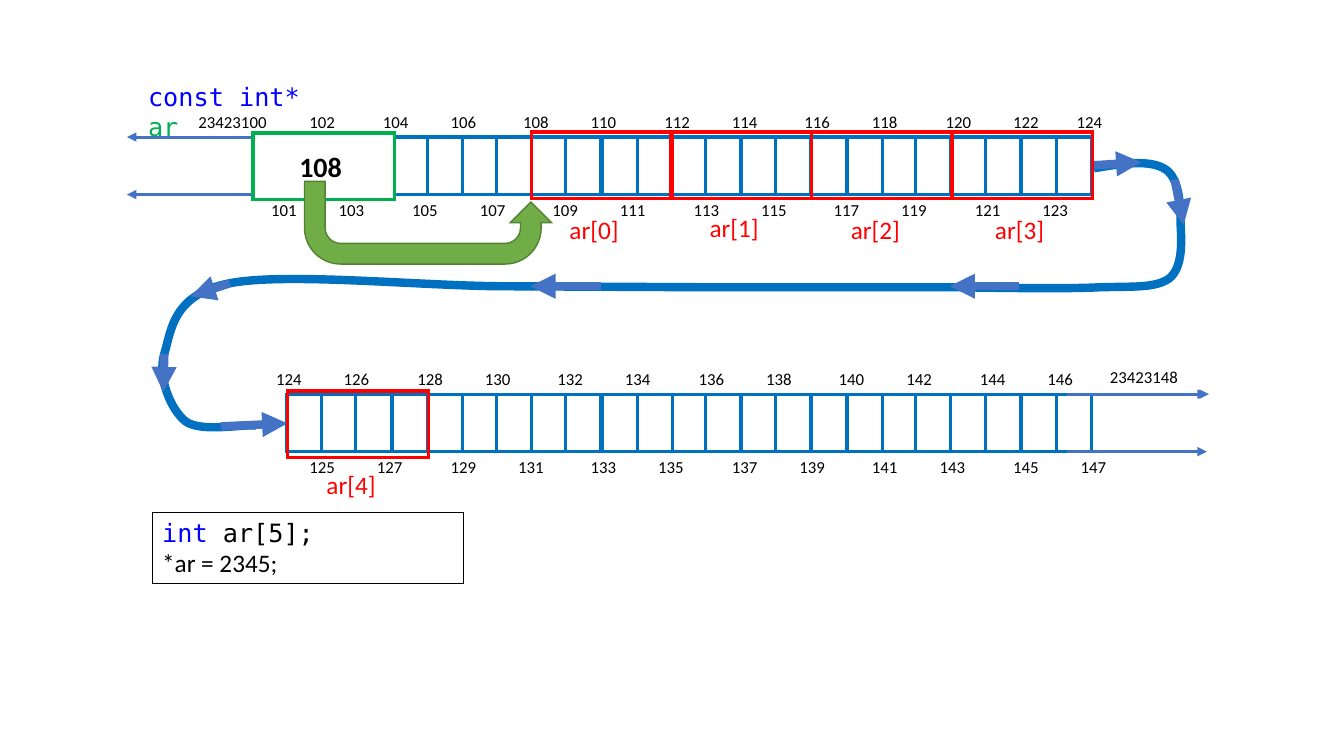
from dataclasses import dataclass
from typing import NamedTuple

from lxml.etree import SubElement
from pptx import Presentation
from pptx.dml.color import RGBColor
from pptx.enum.shapes import MSO_CONNECTOR as Connector, MSO_SHAPE as Shape
from pptx.enum.text import MSO_ANCHOR as Anchor, PP_ALIGN as Align
from pptx.oxml.ns import qn
from pptx.util import Pt

PX = 9144  # 100 px to the inch


@dataclass(frozen=True)
class Theme:
    black: str = "000000"
    white: str = "FFFFFF"
    cell: str = "0070C0"
    arrow: str = "4472C4"
    element: str = "FF0000"
    keyword: str = "0000FF"
    pointer: str = "00B050"
    turn_fill: str = "70AD47"
    turn_line: str = "538035"
    sans: str = "Calibri"
    mono: str = "DejaVu Sans Mono"
    address_size: int = 12
    code_size: int = 18
    value_size: int = 20
    hairline: float = 0.75
    turn_width: float = 1
    line_width: float = 2.25
    path_width: float = 6


THEME = Theme()


class Box(NamedTuple):
    left: int
    top: int
    width: int
    height: int

    def inner(self, dx, dy, width, height):
        return Box(self.left + dx, self.top + dy, width, height)

    def emu(self):
        return [length * PX for length in self]


class Span(NamedTuple):
    text: str
    color: str = THEME.black
    font: str = THEME.sans
    size: int = THEME.code_size
    bold: bool = False


def write(shape, *lines, wrap=True):
    frame = shape.text_frame
    frame.word_wrap = wrap
    frame.vertical_anchor = Anchor.TOP
    for index, spans in enumerate(lines):
        paragraph = frame.add_paragraph() if index else frame.paragraphs[0]
        paragraph.alignment = Align.LEFT
        for span in spans:
            run = paragraph.add_run()
            run.text = span.text
            run.font.name, run.font.size, run.font.bold = span.font, Pt(span.size), span.bold
            run.font.color.rgb = RGBColor.from_string(span.color)


def add_text(slide, box, *spans, wrap=True):
    write(slide.shapes.add_textbox(*box.emu()), spans, wrap=wrap)


def paint(shape, fill, line, width):
    shape.shadow.inherit = False
    if fill:
        shape.fill.solid()
        shape.fill.fore_color.rgb = RGBColor.from_string(fill)
    else:
        shape.fill.background()
    shape.line.color.rgb = RGBColor.from_string(line)
    shape.line.width = Pt(width)
    SubElement(shape.line._get_or_add_ln(), qn("a:miter"), lim="800000")


def add_box(slide, box, fill, line, width=THEME.line_width, kind=Shape.RECTANGLE):
    shape = slide.shapes.add_shape(kind, *box.emu())
    paint(shape, fill, line, width)
    return shape


def add_arrow(slide, start, end, width=THEME.line_width):
    ends = [length * PX for length in (*start, *end)]
    arrow = slide.shapes.add_connector(Connector.STRAIGHT, *ends)
    arrow.line.color.rgb = RGBColor.from_string(THEME.arrow)
    arrow.line.width = Pt(width)
    SubElement(arrow.line._get_or_add_ln(), qn("a:tailEnd"), type="triangle")
    SubElement(arrow._element.spPr, qn("a:effectLst"))


# Cells repeat every six, address labels every four
CELL_STEPS = (0, 35, 70, 103, 138, 172, 208)
LABEL_STEPS = (0, 67, 140, 207, 279)


def stepped(steps, index):
    turn, place = divmod(index, len(steps) - 1)
    return turn * steps[-1] + steps[place]


def add_cells(slide, box, indexes):
    for index in indexes:
        cell = box.inner(stepped(CELL_STEPS, index), 0, 35, box.height)
        add_box(slide, cell, THEME.white, THEME.cell)


def add_address(slide, box, text, wrap=True):
    add_text(slide, box, Span(text, size=THEME.address_size), wrap=wrap)


def add_addresses(slide, box, dx, dy, first, skip=0):
    for index in range(skip, 12):
        label = box.inner(dx + stepped(LABEL_STEPS, index), dy, 49, 30)
        add_address(slide, label, str(first + 2 * index))


def upper_memory(slide, box):
    add_cells(slide, box.inner(263, 0, 695, box.height), (-4, *range(20)))
    for top in (box.top, box.top + box.height):
        add_arrow(slide, (box.left + 142, top), (box.left, top))
    add_address(slide, box.inner(61, -30, 89, 30), "23423100", wrap=False)
    add_addresses(slide, box, 104, -30, 100, skip=1)
    add_addresses(slide, box, 133, box.height, 101)
    add_address(slide, box.inner(932, -30, 49, 30), "124")


def lower_memory(slide, box):
    add_cells(slide, box.inner(-104, 0, 902, box.height), range(3, 26))
    for dx, dy in ((773, 0), (773, box.height), (775, 0)):
        start = (box.left + dx, box.top + dy)
        add_arrow(slide, start, (start[0] + 139, start[1]))
    add_addresses(slide, box, -21, -30, 124)
    add_addresses(slide, box, 12, box.height, 125)
    add_address(slide, box.inner(806, -32, 115, 50), "23423148")


# Winding path from the box corner: a curve holds two control points and its end
PATH_START = (924, 5)
PATH_STEPS = (
    ((952, 0), (980, -4), (995, 6)),
    ((1009, 15), (1010, 43), (1010, 61)),
    ((1011, 79), (1012, 103), (999, 114)),
    ((985, 124), (964, 122), (929, 123)),
    ((895, 125), (792, 123), (792, 123)),
    ((545, 123),),
    ((340, 122),),
    ((260, 122), (123, 108), (67, 119)),
    ((10, 130), (9, 166), (2, 189)),
    ((-5, 212), (8, 244), (23, 256)),
    ((38, 267), (78, 259), (93, 260)),
)
PATH_ARROWS = (
    ((923, 2), (971, -1)), ((850, 122), (781, 122)), ((435, 122), (365, 122)),
    ((67, 119), (28, 132)), ((2, 189), (1, 227)), ((58, 261), (124, 258)),
    ((1004, 16), (1013, 61)),
)


def winding_path(slide, box):
    builder = slide.shapes.build_freeform(*PATH_START, scale=PX)
    builder.add_line_segments([step[-1] for step in PATH_STEPS], close=False)
    shape = builder.convert_to_shape()
    shape.left, shape.top, shape.width, shape.height = box.emu()
    # Round the straight segments into curves, in px of the box
    outline = next(shape._element.iter(qn("a:path")))
    outline.set("w", str(box.width))
    outline.set("h", str(box.height))
    for segment, points in zip(list(outline), ((PATH_START,), *PATH_STEPS)):
        if len(points) == 3:
            curve = SubElement(outline, qn("a:cubicBezTo"))
            outline.replace(segment, curve)
            segment = curve
        for point in list(segment):
            segment.remove(point)
        for x, y in points:
            SubElement(segment, qn("a:pt"), x=str(x), y=str(y))
    paint(shape, None, THEME.cell, THEME.path_width)
    for ends in PATH_ARROWS:
        tail, head = [(box.left + x, box.top + y) for x, y in ends]
        add_arrow(slide, tail, head, THEME.path_width)


def code_box(slide, box):
    shape = add_box(slide, box, None, THEME.black, THEME.hairline)
    write(shape, (Span("int ", THEME.keyword, THEME.mono), Span("ar[5];", font=THEME.mono)),
          (Span("*ar = 2345;"),))


def array_element(slide, box, name, dx, dy):
    add_box(slide, box, None, THEME.element)
    add_text(slide, box.inner(dx, dy, 76, 40), Span(name, THEME.element))


def pointer(slide, box):
    add_box(slide, box, THEME.white, THEME.pointer)
    add_text(slide, box.inner(-114, -56, 202, 40), Span("const int* ", THEME.keyword, THEME.mono),
             Span("ar", THEME.pointer, THEME.mono))
    add_text(slide, box.inner(36, 11, 63, 44), Span("108", size=THEME.value_size, bold=True))
    turn = add_box(slide, box.inner(51, 48, 245, 82), THEME.turn_fill, THEME.turn_line,
                   THEME.turn_width, Shape.U_TURN_ARROW)
    turn._element.spPr.xfrm.set("flipV", "1")


def memory_slide(presentation):
    slide = presentation.slides.add_slide(presentation.slide_layouts[6])
    upper_memory(slide, Box(126, 136, 956, 57))
    lower_memory(slide, Box(285, 391, 798, 57))
    winding_path(slide, Box(161, 162, 1011, 262))
    code_box(slide, Box(151, 508, 309, 71))
    elements = ((527, 131, 28, 77), (665, 131, 29, 75), (805, 131, 29, 77),
                (944, 131, 33, 77), (285, 388, 29, 73))
    for index, (left, top, dx, dy) in enumerate(elements):
        array_element(slide, Box(left, top, 140, 66), f"ar[{index}]", dx, dy)
    pointer(slide, Box(251, 132, 140, 66))


def main():
    presentation = Presentation()
    presentation.slide_width, presentation.slide_height = 1333 * PX, 750 * PX
    memory_slide(presentation)
    presentation.save("out.pptx")


if __name__ == "__main__":
    main()
